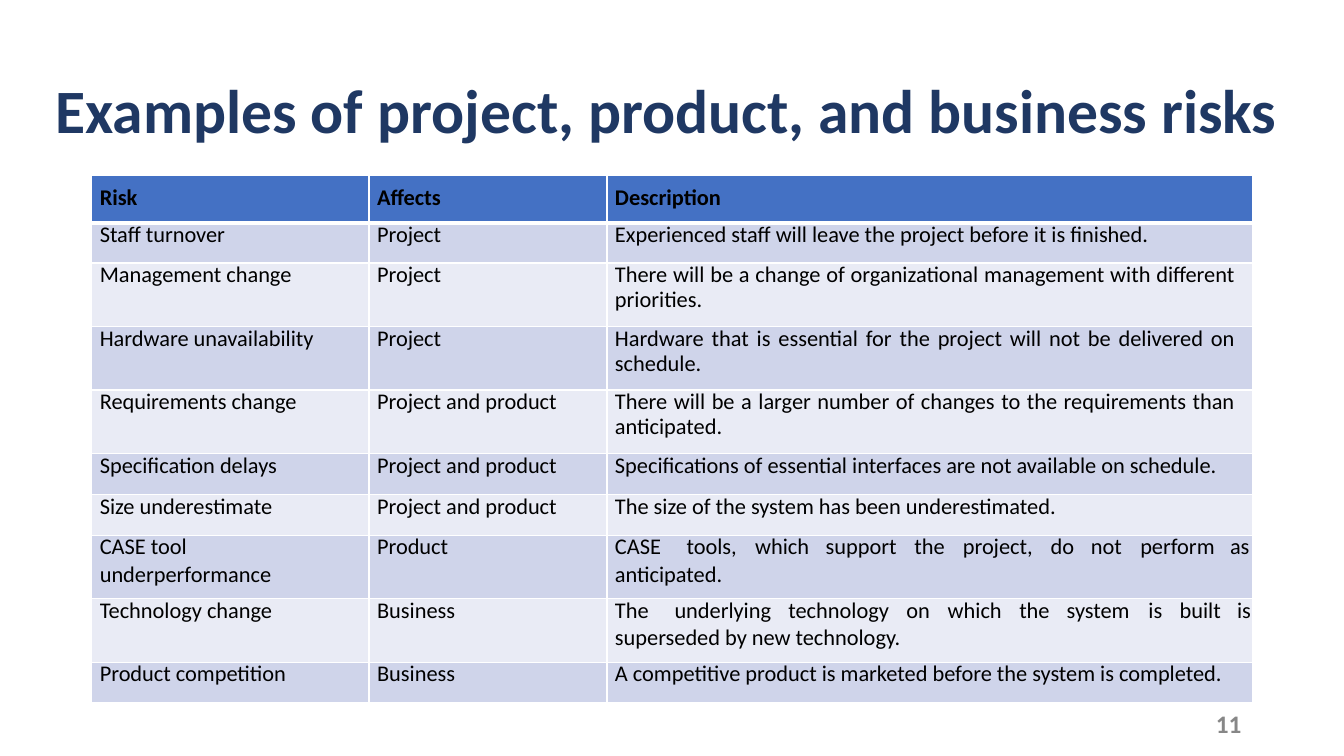
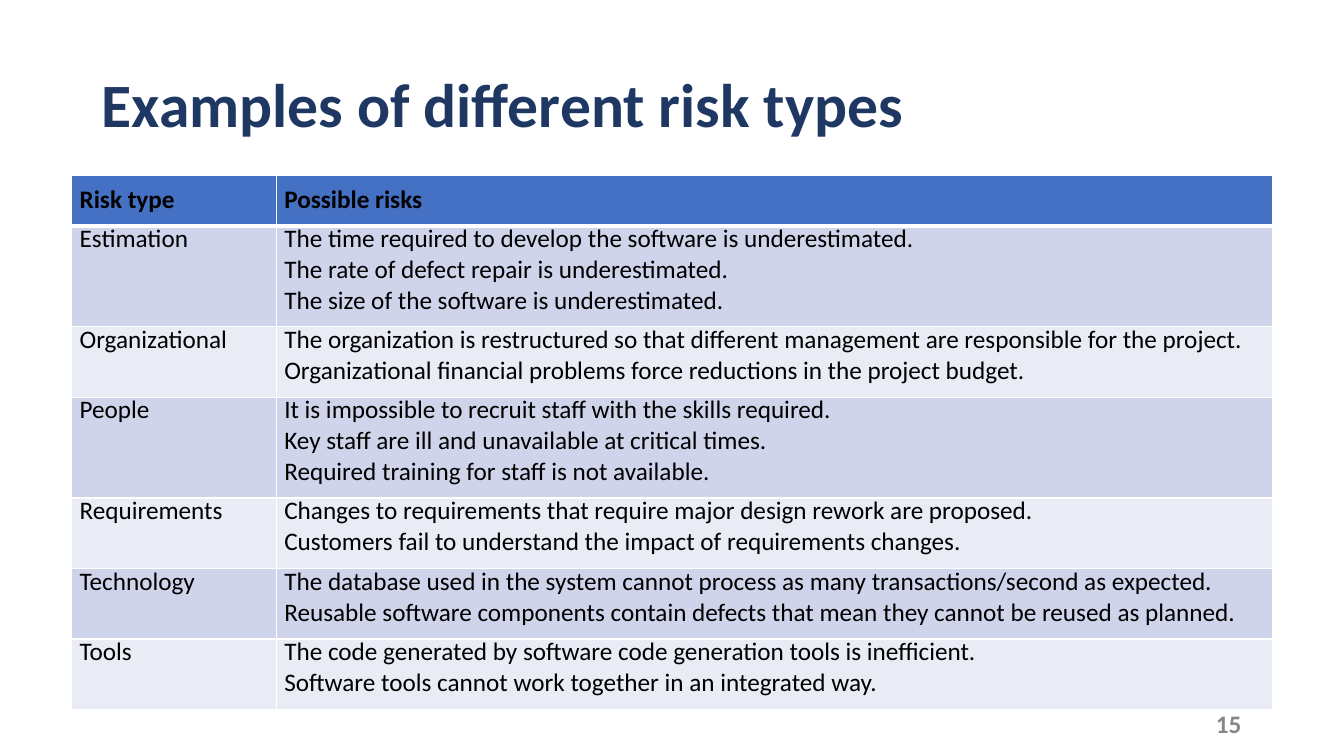
from lxml.etree import SubElement
from pptx import Presentation
from pptx.dml.color import RGBColor
from pptx.enum.text import PP_ALIGN
from pptx.oxml.ns import qn
from pptx.util import Inches, Pt

FONT = "Calibri"
NAVY, GREY, BLACK, WHITE = "1F3863", "878787", "000000", "FFFFFF"
HEADER, BANDS = "4471C4", ("CFD4EA", "E9EBF5")
INDENT = 0.08

CASE_LINE = "CASE\ttools,\twhich\tsupport\tthe\tproject,\tdo\tnot\tperform\tas"
TECH_LINE = "The\tunderlying\ttechnology\ton\twhich\tthe\tsystem\tis\tbuilt\tis"
TAB_STOPS = {
    CASE_LINE: (0.71, 1.39, 2.09, 2.97, 3.45, 4.32, 4.72, 5.21, 6.1),
    TECH_LINE: (0.59, 1.72, 2.89, 3.3, 4.01, 4.48, 5.29, 5.6, 6.17),
}

RISKS = [
    ("Risk", "Affects", "Description"),
    ("Staff turnover", "Project",
     "Experienced staff will leave the project before it is finished."),
    ("Management change", "Project",
     "There will be a change of organizational management with different priorities."),
    ("Hardware unavailability", "Project",
     "Hardware that is essential for the project will not be delivered on schedule."),
    ("Requirements change", "Project and product",
     "There will be a larger number of changes to the requirements than anticipated."),
    ("Specification delays", "Project and product",
     "Specifications of essential interfaces are not available on schedule."),
    ("Size underestimate", "Project and product",
     "The size of the system has been underestimated."),
    ("CASE tool\nunderperformance", "Product", CASE_LINE + "\nanticipated."),
    ("Technology change", "Business",
     TECH_LINE + "\nsuperseded by new technology."),
    ("Product competition", "Business",
     "A competitive product is marketed before the system is completed."),
]

RISK_TYPES = [
    ("Risk type", "Possible risks"),
    ("Estimation",
     "The time required to develop the software is underestimated.\n"
     "The rate of defect repair is underestimated.\n"
     "The size of the software is underestimated."),
    ("Organizational",
     "The organization is restructured so that different management are "
     "responsible for the project.\n"
     "Organizational financial problems force reductions in the project budget."),
    ("People",
     "It is impossible to recruit staff with the skills required.\n"
     "Key staff are ill and unavailable at critical times.\n"
     "Required training for staff is not available."),
    ("Requirements",
     "Changes to requirements that require major design rework are proposed.\n"
     "Customers fail to understand the impact of requirements changes."),
    ("Technology",
     "The database used in the system cannot process as many "
     "transactions/second as expected.\n"
     "Reusable software components contain defects that mean they cannot be "
     "reused as planned."),
    ("Tools",
     "The code generated by software code generation tools is inefficient.\n"
     "Software tools cannot work together in an integrated way."),
]


def rgb(value):
    return RGBColor.from_string(value)


def set_font(p, size, color, bold=False):
    p.font.name = FONT
    p.font.size = Pt(size)
    p.font.bold = bold
    p.font.color.rgb = rgb(color)


def set_margins(box, left=0, top=0, right=0):
    box.margin_left, box.margin_top = Inches(left), Inches(top)
    box.margin_right, box.margin_bottom = Inches(right), 0


def add_label(s, box, text, size, color, left=0, top=0):
    tf = s.shapes.add_textbox(*map(Inches, box)).text_frame
    tf.word_wrap = False
    set_margins(tf, left, top)
    p = tf.paragraphs[0]
    p.text = text
    set_font(p, size, color, True)


def set_borders(cell, top, bottom):
    tcPr = cell._tc.get_or_add_tcPr()
    for side, width in (("L", 1), ("R", 1), ("T", top), ("B", bottom)):
        ln = SubElement(tcPr, qn(f"a:ln{side}"), w=str(Pt(width)))
        fill = SubElement(ln, qn("a:solidFill"))
        SubElement(fill, qn("a:srgbClr"), val=WHITE)


def add_tabs(p, stops):
    tabs = SubElement(p._p.get_or_add_pPr(), qn("a:tabLst"))
    for stop in stops:
        SubElement(tabs, qn("a:tab"), pos=str(Inches(stop)), algn="l")


def fill_cell(cell, text, row, size, leading, justify):
    header = row == 0
    set_borders(cell, 3 if row == 1 else 1, 3 if header else 1)
    cell.fill.solid()
    cell.fill.fore_color.rgb = rgb(HEADER if header else BANDS[(row - 1) % 2])
    set_margins(cell, top=0.09 if header else 0, right=0.17 if justify else 0)
    tf = cell.text_frame
    for i, line in enumerate(text.split("\n")):
        p = tf.paragraphs[0] if i == 0 else tf.add_paragraph()
        p.text = line
        p._p.get_or_add_pPr().set("marL", str(Inches(INDENT)))
        if line in TAB_STOPS:
            add_tabs(p, TAB_STOPS[line])
        if justify:
            p.alignment = PP_ALIGN.JUSTIFY
        if i == 0 and not header:
            p.line_spacing = Pt(leading)
        set_font(p, size, BLACK, header)


def add_risk_table(s, left, top, widths, heights, rows, size, leading):
    frame = s.shapes.add_table(len(rows), len(widths), Inches(left), Inches(top),
                               Inches(sum(widths)), Inches(sum(heights)))
    table = frame.table
    for column, width in zip(table.columns, widths):
        column.width = Inches(width)
    for r, (values, height) in enumerate(zip(rows, heights)):
        table.rows[r].height = Inches(height)
        for c, text in enumerate(values):
            justify = r > 0 and c == len(values) - 1 and "\n" not in text
            fill_cell(table.cell(r, c), text, r, size, leading, justify)


def add_slide(prs, title, number, title_left, title_top, **table):
    s = prs.slides.add_slide(prs.slide_layouts[6])
    add_label(s, (12.05, 7.03, 0.32, 0.28), number, 18, GREY, left=0.01)
    add_label(s, (0.54, 0.63, 12.18, 0.83), title, 44, NAVY, title_left, title_top)
    add_risk_table(s, top=1.74, **table)


def main():
    prs = Presentation()
    prs.slide_width, prs.slide_height = Inches(13.33), Inches(7.5)
    add_slide(prs, "Examples of project, product, and business risks", "11",
              0.01, 0.08, left=0.91, widths=(2.75, 2.36, 6.4),
              heights=(0.47, 0.4, 0.63, 0.63, 0.63, 0.41, 0.4, 0.63, 0.63, 0.4),
              rows=RISKS, size=16, leading=18.2)
    add_slide(prs, "Examples of different risk types", "15",
              0.47, 0.02, left=0.71, widths=(2.03, 9.88),
              heights=(0.5, 1, 0.7, 1, 0.7, 0.7, 0.7),
              rows=RISK_TYPES, size=18, leading=20.4)
    prs.save("out.pptx")


if __name__ == "__main__":
    main()
